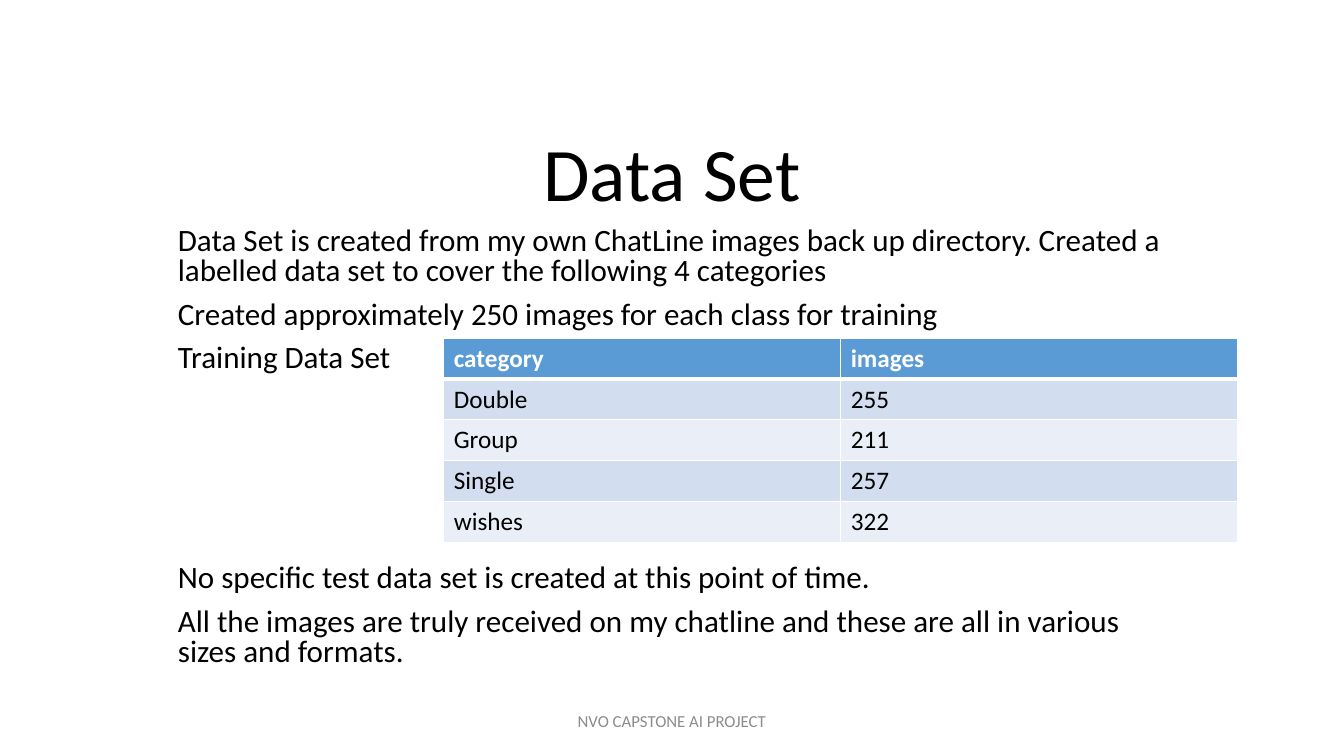
from lxml.etree import SubElement
from pptx import Presentation
from pptx.dml.color import RGBColor
from pptx.enum.text import MSO_ANCHOR, MSO_AUTO_SIZE, PP_ALIGN
from pptx.oxml.ns import qn
from pptx.util import Pt

TRAINING_COUNTS = [("category", "images"), ("Double", "255"), ("Group", "211"),
                   ("Single", "257"), ("wishes", "322")]
INTRO = ["Data Set is created from my own ChatLine images back up directory. "
         "Created a labelled data set to cover the following 4 categories",
         "Created approximately 250 images for each class for training",
         "Training Data Set"]
REMARKS = ["No specific test data set is created at this point of time.",
           "All the images are truly received on my chatline and these are all "
           "in various sizes and formats."]


def rgb(value):
    return RGBColor.from_string(value)


class SlideBuilder:
    font = "Calibri"
    text_color = "000000"
    header_fill = "5B9BD5"
    band_fills = ("D2DEEF", "EAEFF7")
    border_color = "FFFFFF"
    body_format = {"line_spacing": 0.8, "alignment": PP_ALIGN.LEFT}

    def __init__(self, prs):
        self.s = prs.slides.add_slide(prs.slide_layouts[5])

    def fill_text(self, tf, lines, size, color=None, bold=False, gap=0, **paragraph_format):
        for i, line in enumerate(lines):
            p = tf.paragraphs[0] if i == 0 else tf.add_paragraph()
            p.space_before = Pt(gap if i else 0)
            for name, value in paragraph_format.items():
                setattr(p, name, value)
            r = p.add_run()
            r.text = line
            for name, value in {"name": self.font, "size": Pt(size), "bold": bold}.items():
                setattr(r.font, name, value)
            r.font.color.rgb = rgb(color or self.text_color)

    def place(self, sp, left, top, width, height, anchor):
        sp.left, sp.top, sp.width, sp.height = map(Pt, (left, top, width, height))
        tf = sp.text_frame
        for name, value in {"word_wrap": True, "auto_size": MSO_AUTO_SIZE.NONE,
                            "vertical_anchor": anchor}.items():
            setattr(tf, name, value)
        return tf

    def title(self, text, box, size):
        tf = self.place(self.s.shapes.title, *box, MSO_ANCHOR.BOTTOM)
        self.fill_text(tf, [text], size, line_spacing=0.9, alignment=PP_ALIGN.CENTER)

    def text(self, lines, box, size, anchor=MSO_ANCHOR.TOP, **options):
        sp = self.s.shapes.add_textbox(*map(Pt, box))
        self.fill_text(self.place(sp, *box, anchor), lines, size, **options)

    def border(self, cell, bottom, top):
        """Draw white cell edges, with the given bottom and top widths in points."""
        tc_pr = cell._tc.get_or_add_tcPr()
        for i, (edge, width) in enumerate({"L": 1, "R": 1, "T": top, "B": bottom}.items()):
            ln = SubElement(tc_pr, qn(f"a:ln{edge}"), w=str(Pt(width)))
            fill = SubElement(ln, qn("a:solidFill"))
            SubElement(fill, qn("a:srgbClr"), val=self.border_color)
            tc_pr.insert(i, ln)

    def table(self, rows, left, top, column_width, row_height, size):
        columns = len(rows[0])
        frame = self.s.shapes.add_table(len(rows), columns, Pt(left), Pt(top),
                                        Pt(column_width * columns),
                                        Pt(row_height * len(rows)))
        table = frame.table
        for column in table.columns:
            column.width = Pt(column_width)
        for i, values in enumerate(rows):
            header = i == 0
            table.rows[i].height = Pt(row_height)
            for j, value in enumerate(values):
                cell = table.cell(i, j)
                cell.fill.solid()
                cell.fill.fore_color.rgb = rgb(
                    self.header_fill if header else self.band_fills[(i - 1) % 2])
                self.border(cell, bottom=3 if header else 1, top=3 if i == 1 else 1)
                self.fill_text(cell.text_frame, [value], size, bold=header,
                               color="FFFFFF" if header else None)


def main():
    prs = Presentation()
    prs.slide_width, prs.slide_height = Pt(960), Pt(540)
    slide = SlideBuilder(prs)
    slide.title("Data Set", (120, 88.5, 720, 70.5), 54)
    slide.text(INTRO, (120, 159, 720, 115), 22.2, gap=10, **slide.body_format)
    slide.text(REMARKS, (120, 400, 720, 89), 22.2, gap=10, **slide.body_format)
    slide.table(TRAINING_COUNTS, 317, 241.5, 283.5, 29.2, 18)
    slide.text(["NVO CAPSTONE AI PROJECT"], (318, 500.5, 324, 29), 12, MSO_ANCHOR.MIDDLE,
               color="8C8C8C", alignment=PP_ALIGN.CENTER)
    prs.save("out.pptx")


if __name__ == "__main__":
    main()
